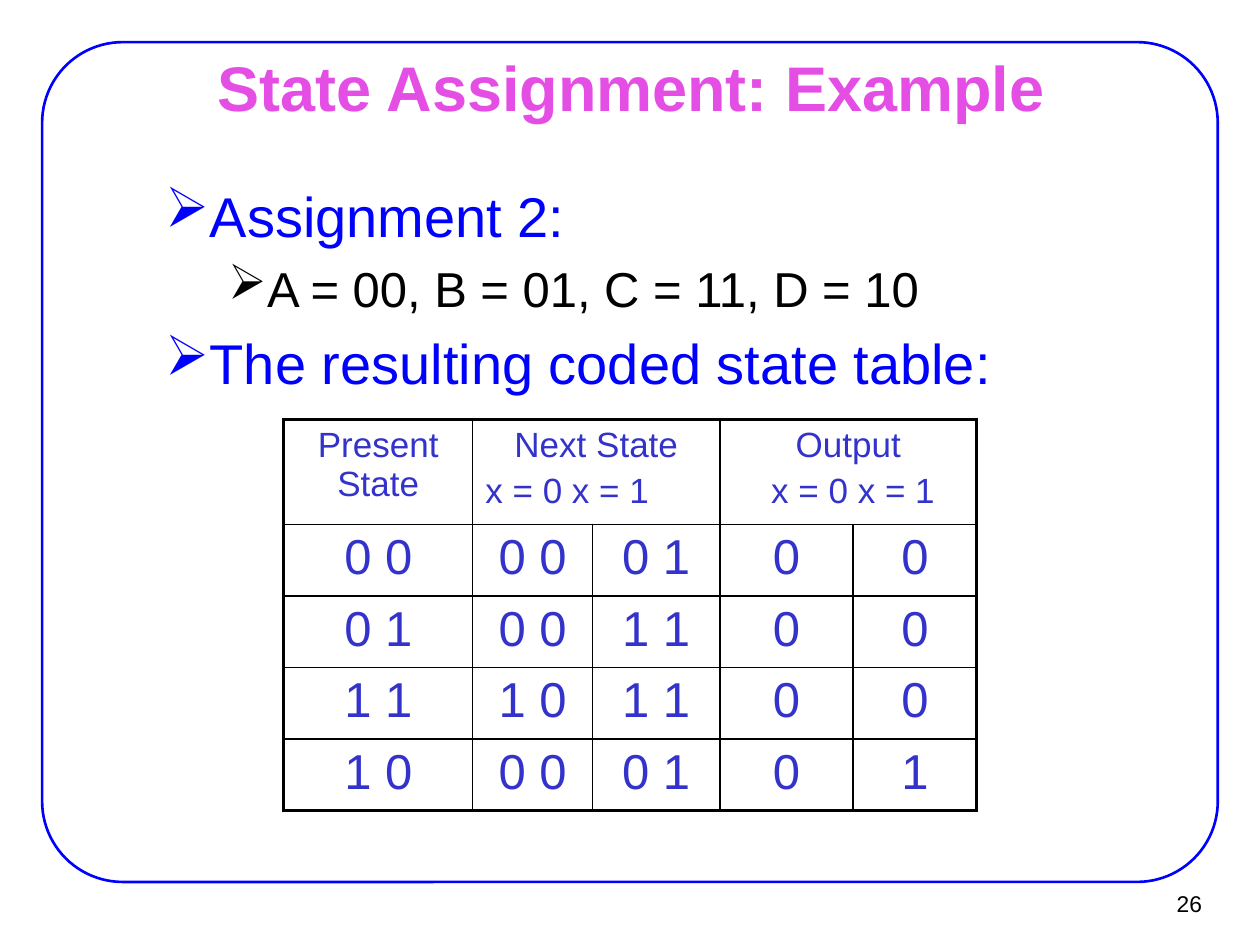
import pptx
import pptx.dml.color
import pptx.enum.shapes
import pptx.enum.text
import pptx.oxml
import pptx.oxml.ns
import pptx.util
from pptx.util import Cm, Pt

ALIGN = pptx.enum.text.PP_ALIGN
ANCHOR = pptx.enum.text.MSO_ANCHOR
FONT = "Arial"
BLUE = "0000FF"
BLACK = "000000"
TABLE_BLUE = "3333CC"
THIN, THICK = 1, 2.25
COLUMN_WIDTHS = [3.81, 2.41, 2.57, 2.69, 2.49]
HEADER_HEIGHT, ROW_HEIGHT = 2.11, 1.44
HEADINGS = {
    0: [("Present State", ALIGN.CENTER)],
    1: [("Next State", ALIGN.CENTER), ("x = 0 x = 1", ALIGN.LEFT)],
    3: [("Output", ALIGN.CENTER), (" x = 0 x = 1", ALIGN.CENTER)],
}
STATES = [
    ["0 0", "0 0", "0 1", "0", "0"],
    ["0 1", "0 0", "1 1", "0", "0"],
    ["1 1", "1 0", "1 1", "0", "0"],
    ["1 0", "0 0", "0 1", "0", "1"],
]


def rgb(color):
    return pptx.dml.color.RGBColor.from_string(color)


def write(paragraph, text, size, color, align=ALIGN.LEFT, bold=False, gap=0):
    paragraph.text = text
    paragraph.alignment = align
    paragraph.space_before = Pt(gap * size)
    font = paragraph.font
    font.name, font.size, font.bold = FONT, Pt(size), bold
    font.color.rgb = rgb(color)


def add_text_frame(slide, left, top, width, height, inset, anchor, wrap=True):
    frame = slide.shapes.add_textbox(Cm(left), Cm(top), Cm(width), Cm(height)).text_frame
    frame.word_wrap = wrap
    frame.vertical_anchor = anchor
    frame.margin_left = frame.margin_right = Cm(inset)
    frame.margin_top = frame.margin_bottom = Cm(inset / 2)
    return frame


def next_paragraph(frame, index):
    return frame.paragraphs[0] if index == 0 else frame.add_paragraph()


def add_border(slide):
    border = slide.shapes.add_shape(
        pptx.enum.shapes.MSO_SHAPE.ROUNDED_RECTANGLE,
        Cm(0.85), Cm(0.85), Cm(23.7), Cm(16.93))
    border.adjustments[0] = 0.096
    border.shadow.inherit = False
    border.fill.background()
    border.line.color.rgb = rgb(BLUE)
    border.line.width = Pt(1.5)


def set_bullet(paragraph, margin, hanging):
    properties = paragraph._p.get_or_add_pPr()
    properties.set("marL", str(Cm(margin)))
    properties.set("indent", str(-Cm(hanging)))
    bullet = pptx.oxml.parse_xml(
        f'<a:buChar {pptx.oxml.ns.nsdecls("a")} char="➢"/>')
    properties.append(bullet)


def add_points(slide):
    frame = add_text_frame(slide, 1.78, 3.51, 22.35, 4.95, 0.28, ANCHOR.TOP)
    points = [
        ("Assignment 2:", 1),
        ("A = 00, B = 01, C = 11, D = 10", 2),
        ("The resulting coded state table:", 1),
    ]
    styles = {1: (32, BLUE, 2.06, 0.79), 2: (28, BLACK, 3.18, 0.64)}
    for index, (text, level) in enumerate(points):
        size, color, margin, hanging = styles[level]
        point = next_paragraph(frame, index)
        write(point, text, size, color, gap=0.2)
        point.level = level - 1
        set_bullet(point, margin, hanging)


def set_edges(cell, widths):
    properties = cell._tc.get_or_add_tcPr()
    for index, (side, width) in enumerate(widths.items()):
        edge = pptx.oxml.parse_xml(
            f'<a:ln{side} {pptx.oxml.ns.nsdecls("a")} w="{Pt(width)}">'
            f'<a:solidFill><a:srgbClr val="{BLACK}"/></a:solidFill></a:ln{side}>')
        properties.insert(index, edge)


def fill_cell(cell, lines, size):
    for index, (text, align) in enumerate(lines):
        write(next_paragraph(cell.text_frame, index), text, size, TABLE_BLUE, align, gap=0.2)


def add_state_table(slide):
    row_count, column_count = len(STATES) + 1, len(COLUMN_WIDTHS)
    table = slide.shapes.add_table(
        row_count, column_count, Cm(5.72), Cm(8.46), Cm(sum(COLUMN_WIDTHS)),
        Cm(HEADER_HEIGHT + ROW_HEIGHT * len(STATES))).table
    table.first_row = table.horz_banding = False
    for column, width in zip(table.columns, COLUMN_WIDTHS):
        column.width = Cm(width)
    for index, row in enumerate(table.rows):
        row.height = Cm(ROW_HEIGHT if index else HEADER_HEIGHT)
    for column in (1, 3):
        table.cell(0, column).merge(table.cell(0, column + 1))

    for column, lines in HEADINGS.items():
        fill_cell(table.cell(0, column), lines, 20)
    for row, values in enumerate(STATES, 1):
        for column, value in enumerate(values):
            fill_cell(table.cell(row, column), [(value, ALIGN.CENTER)], 28)

    for row in range(row_count):
        for column in range(column_count):
            cell = table.cell(row, column)
            cell.fill.background()
            if cell.is_spanned:
                continue
            last_column = column + cell.span_width - 1
            outer = {
                "L": column == 0,
                "R": last_column == column_count - 1,
                "T": row == 0,
                "B": row == row_count - 1,
            }
            set_edges(cell, {side: THICK if edge else THIN for side, edge in outer.items()})


def main():
    deck = pptx.Presentation()
    deck.slide_width, deck.slide_height = Cm(25.4), Cm(19.05)
    slide = deck.slides.add_slide(deck.slide_layouts[6])
    add_border(slide)
    number = add_text_frame(slide, 22.91, 17.75, 1.55, 0.94, 0.23, ANCHOR.MIDDLE, wrap=False)
    write(number.paragraphs[0], "26", 13, BLACK, ALIGN.RIGHT)
    title = add_text_frame(slide, 1.93, 1.12, 21.59, 1.24, 0.28, ANCHOR.MIDDLE)
    write(title.paragraphs[0], "State Assignment: Example", 36, "E44EE4", ALIGN.CENTER, bold=True)
    add_points(slide)
    add_state_table(slide)
    deck.save("out.pptx")


if __name__ == "__main__":
    main()
